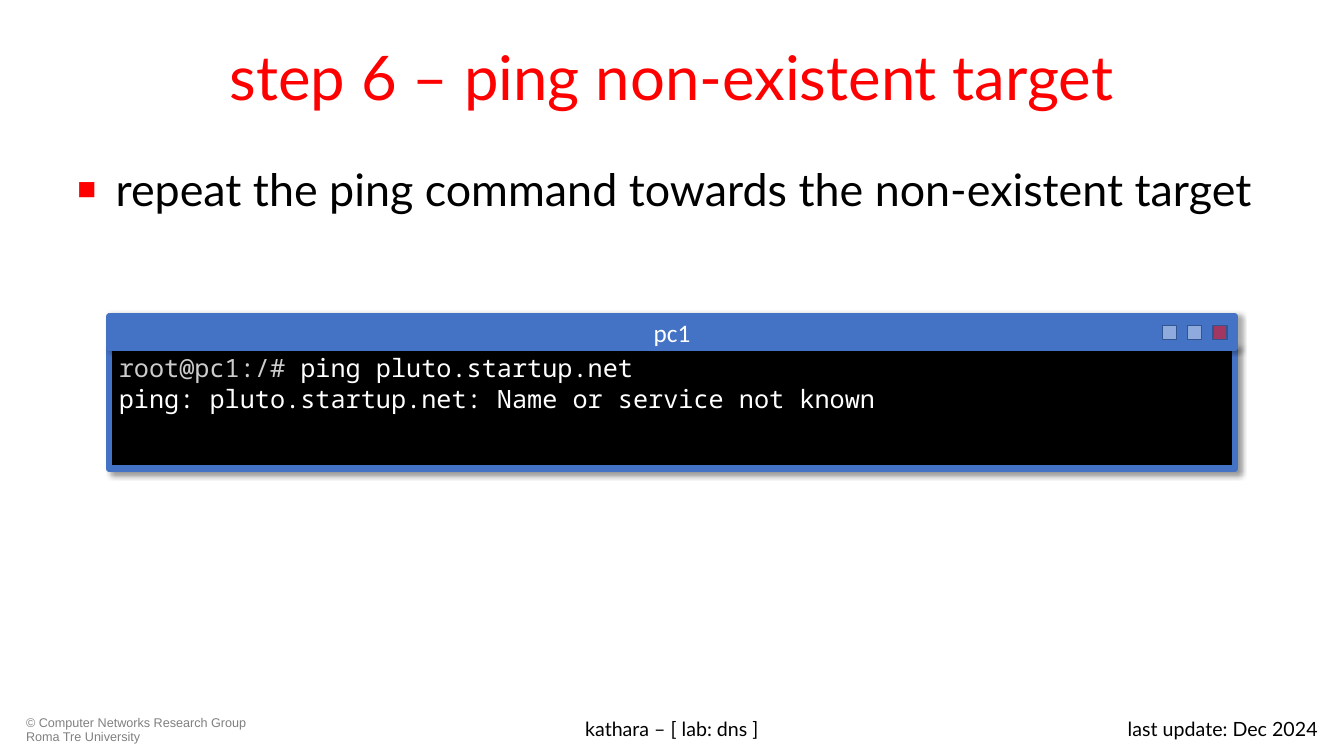
from lxml.etree import SubElement
from pptx import Presentation
from pptx.dml.color import RGBColor
from pptx.enum.shapes import MSO_SHAPE as Shape
from pptx.enum.text import MSO_ANCHOR as Anchor, MSO_AUTO_SIZE as AutoSize, PP_ALIGN as Align
from pptx.oxml.ns import qn
from pptx.util import Emu, Inches, Pt

RED, BLACK, WHITE = "FF0000", "000000", "FFFFFF"
FRAME_BLUE, BUTTON_BLUE, BUTTON_EDGE = "4472C4", "8FAADC", "325491"
PROMPT_GREY, COPYRIGHT_GREY = "CCCCCC", "808080"


def rgb(hex_code):
    return RGBColor.from_string(hex_code)


def add_xml(parent, tag, **attributes):
    return SubElement(parent, qn(tag), {k: str(v) for k, v in attributes.items()})


class LabSlide:
    """Style and current slide; every box is (left, top, width, height) in percent."""
    text_font, mono_font, window_font, small_font = "Lato", "Noto Sans Mono", "Calibri", "Arial"

    def __init__(self, deck):
        self.width, self.height = deck.slide_width, deck.slide_height
        self.slide = deck.slides.add_slide(deck.slide_layouts[1])

    def place(self, box):
        sides = (self.width, self.height) * 2
        return [Emu(round(side * share / 100)) for side, share in zip(sides, box)]

    def style(self, run, size, color, font=text_font):
        run.font.size, run.font.name = Pt(size), font
        run.font.color.rgb = rgb(color)

    def fill_placeholder(self, holder, box, text, size, color, anchor):
        holder.left, holder.top, holder.width, holder.height = self.place(box)
        frame = holder.text_frame
        frame.text = text
        frame.auto_size, frame.vertical_anchor = AutoSize.NONE, anchor
        self.style(frame.paragraphs[0].runs[0], size, color)
        return frame.paragraphs[0]

    def title(self, box, text):
        heading = self.fill_placeholder(self.slide.shapes.title, box, text, 44, RED, Anchor.MIDDLE)
        heading.alignment = Align.CENTER

    def bullet(self, box, text):
        step = self.fill_placeholder(self.slide.placeholders[1], box, text, 32, BLACK, Anchor.TOP)
        step.space_before = Pt(0)
        props = step._p.get_or_add_pPr()
        props.set("marL", str(Inches(0.38)))
        props.set("indent", str(Inches(-0.38)))
        add_xml(add_xml(props, "a:buClr"), "a:srgbClr", val=RED)
        add_xml(props, "a:buSzPct", val=70000)
        add_xml(props, "a:buFont", typeface="Arial")
        add_xml(props, "a:buChar", char="■")

    def footer(self, box, text, align, size=14, color=BLACK, font=text_font, spacing=1.0):
        frame = self.slide.shapes.add_textbox(*self.place(box)).text_frame
        frame.word_wrap = True
        note = frame.paragraphs[0]
        note.text, note.alignment, note.line_spacing = text, align, spacing
        self.style(note.runs[0], size, color, font)

    def rect(self, group, box, fill, line, weight):
        shape = group.shapes.add_shape(Shape.RECTANGLE, *self.place(box))
        shape.shadow.inherit = False
        shape.fill.solid()
        shape.fill.fore_color.rgb = rgb(fill)
        shape.line.color.rgb, shape.line.width = rgb(line), Pt(weight)
        return shape

    def shadow(self, shape, opacity, distance, angle):
        effects = shape._element.spPr.find(qn("a:effectLst"))
        outer = add_xml(effects, "a:outerShdw", blurRad=Pt(4), dist=Pt(distance),
                        dir=angle * 60000, algn="tl", rotWithShape=0)
        color = add_xml(outer, "a:srgbClr", val=BLACK)
        add_xml(color, "a:alpha", val=opacity * 1000)

    def terminal(self, left, top, width, bar_height, screen_height, host, lines):
        """Draw a window; each line is a list of (text, colour) parts."""
        window = self.slide.shapes.add_group_shape()
        screen = self.rect(window, (left, top + bar_height, width, screen_height),
                           BLACK, FRAME_BLUE, 4.5)
        self.shadow(screen, 40, 3, 45)
        frame = screen.text_frame
        frame.word_wrap, frame.vertical_anchor = True, Anchor.TOP
        for number, parts in enumerate(lines):
            output = frame.add_paragraph() if number else frame.paragraphs[0]
            output.alignment = Align.LEFT
            for text, color in parts:
                run = output.add_run()
                run.text = text
                self.style(run, 18, color, self.mono_font)

        bar = self.rect(window, (left, top, width, bar_height), FRAME_BLUE, FRAME_BLUE, 4.5)
        self.shadow(bar, 32, 2, 0)
        bar.text_frame.text = host
        bar.text_frame.vertical_anchor = Anchor.MIDDLE
        host_name = bar.text_frame.paragraphs[0]
        host_name.alignment = Align.CENTER
        self.style(host_name.runs[0], 18, WHITE, self.window_font)

        first_button = left + width - 5.42
        for column, color in enumerate((BUTTON_BLUE, BUTTON_BLUE, RED)):
            button = self.rect(window, (first_button + column * 1.88, top + 1.2, 1.05, 1.87),
                               color, BUTTON_EDGE, 1)
            if color == RED:
                tint = button._element.spPr.find(qn("a:solidFill"))[0]
                add_xml(tint, "a:alpha", val=50000)


def main():
    deck = Presentation()
    deck.slide_width, deck.slide_height = Inches(13.33), Inches(7.5)
    lab = LabSlide(deck)
    lab.title((5, 1.75, 90, 16.67), "step 6 – ping non-existent target")
    lab.bullet((5, 20.67, 90, 68.67), "repeat the ping command towards the non-existent target")
    lab.terminal(8.1, 41.87, 83.8, 4.13, 16, "pc1", [
        [("root@pc1:/# ", PROMPT_GREY), ("ping pluto.startup.net", WHITE)],
        [("ping: pluto.startup.net: Name or service not known", WHITE)],
    ])
    foot_top, foot_height = 94.13, 4.8
    lab.footer((1.2, foot_top, 18.68, foot_height),
               "© Computer Networks Research Group Roma Tre University",
               Align.LEFT, 9, COPYRIGHT_GREY, lab.small_font, 0.9)
    lab.footer((25.58, foot_top, 48.84, foot_height), "kathara – [ lab: dns ]", Align.CENTER)
    lab.footer((76, foot_top, 22.8, foot_height), "last update: Dec 2024", Align.RIGHT)
    deck.save("out.pptx")


if __name__ == "__main__":
    main()
